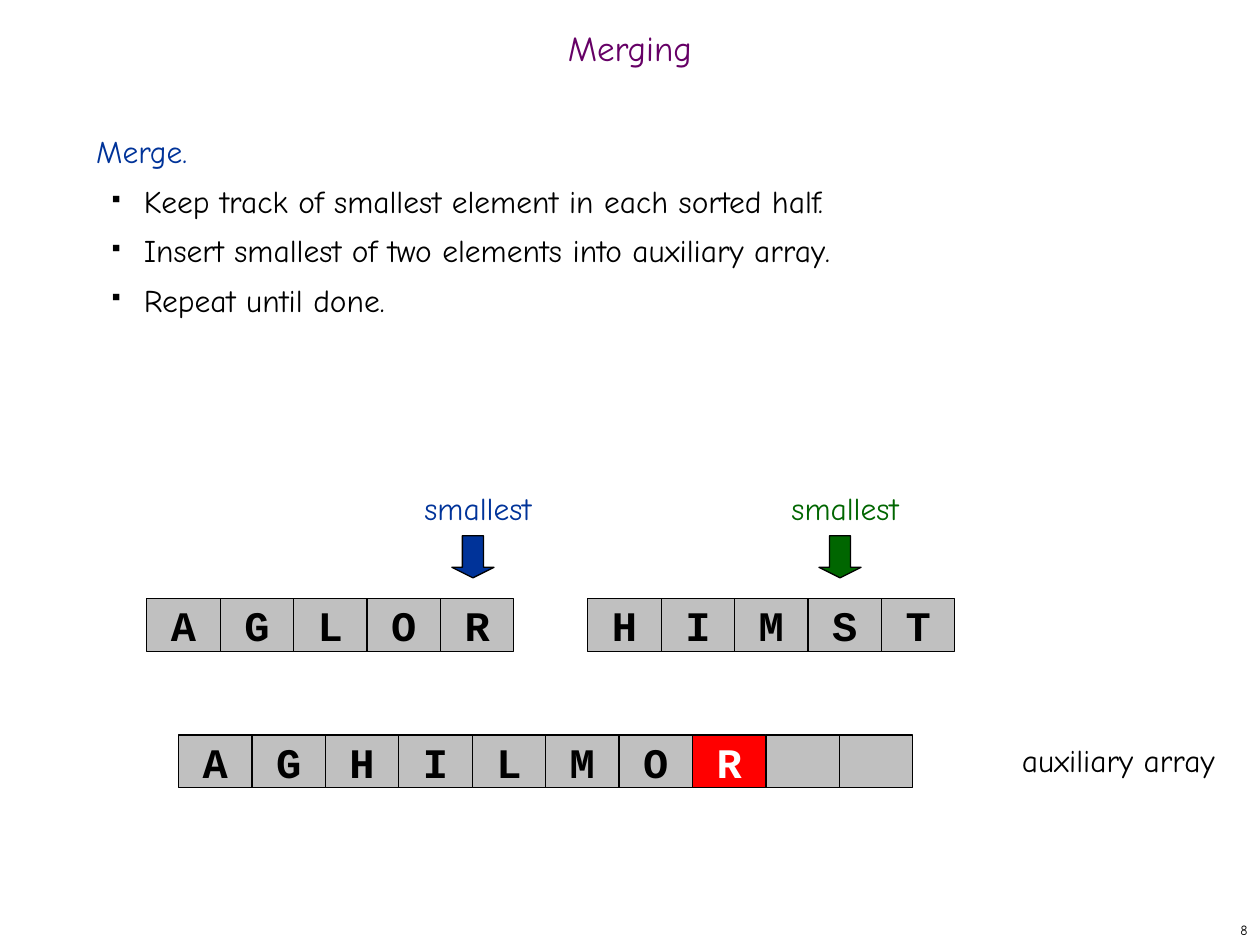
from pptx import Presentation
from pptx.dml.color import RGBColor
from pptx.enum.shapes import MSO_SHAPE as Kind
from pptx.enum.text import MSO_ANCHOR as Anchor, PP_ALIGN as Align
from pptx.oxml import parse_xml
from pptx.oxml.ns import nsdecls
from pptx.util import Cm, Pt

BLACK = RGBColor(0x00, 0x00, 0x00)
WHITE = RGBColor(0xFF, 0xFF, 0xFF)
BLUE = RGBColor(0x00, 0x33, 0x99)
GREEN = RGBColor(0x00, 0x66, 0x00)
PURPLE = RGBColor(0x66, 0x00, 0x66)
GRAY = RGBColor(0xC0, 0xC0, 0xC0)
RED = RGBColor(0xFF, 0x00, 0x00)
SANS = "Comic Neue"
MONO = "Courier New"
WIDE, HIGH = 1.48, 1.06  # one array cell, in cm

deck = Presentation()
deck.slide_width, deck.slide_height = Cm(25.4), Cm(19.05)
slide = deck.slides.add_slide(deck.slide_layouts[6])


def add_text(text, x, y, w, h, size, color, align, anchor=Anchor.TOP):
    box = slide.shapes.add_textbox(Cm(x), Cm(y), Cm(w), Cm(h))
    frame = box.text_frame
    frame.word_wrap = True
    frame.vertical_anchor = anchor
    frame.text = text
    for para in frame.paragraphs:
        para.alignment = align
        font = para.runs[0].font
        font.name, font.size = SANS, Pt(size)
        font.color.rgb = color
    return frame


def add_block(kind, x, y, w, h, fill):
    block = slide.shapes.add_shape(kind, Cm(x), Cm(y), Cm(w), Cm(h))
    block.shadow.inherit = False
    block.fill.solid()
    block.fill.fore_color.rgb = fill
    block.line.color.rgb = BLACK
    block.line.width = Pt(0.75)
    return block


# Title
title = add_text("Merging", 0, 0.42, 25.4, 1.27, 20, PURPLE, Align.CENTER, Anchor.MIDDLE)
title.paragraphs[0].line_spacing = 0.7

# Heading and bullets
lines = [
    "Merge.",
    "Keep track of smallest element in each sorted half.",
    "Insert smallest of two elements into auxiliary array.",
    "Repeat until done.",
]
body = add_text("\n".join(lines), 1.69, 2.54, 21.8, 15.03, 18, BLACK, Align.LEFT)
head, *items = body.paragraphs
head.space_before = Pt(4.5)
head.runs[0].font.color.rgb = BLUE
for item in items:
    item.level = 1
    item.line_spacing = 1.1
    item.space_before = Pt(4.5)
    props = item._p.get_or_add_pPr()
    props.set("marL", str(Cm(0.96)))
    props.set("indent", str(Cm(-0.64)))
    for mark in (
        '<a:buClr %s><a:srgbClr val="000000"/></a:buClr>',
        '<a:buSzPct %s val="35000"/>',
        '<a:buChar %s char="■"/>',
    ):
        props.append(parse_xml(mark % nsdecls("a")))

# Pointers to the smallest elements
for x, color in ((6.99, BLUE), (14.39, GREEN)):
    label = add_text("smallest", x, 9.74, 5.29, 1.02, 18, color, Align.CENTER)
    label.paragraphs[0].space_before = Pt(11.2)
    arrow = add_block(Kind.DOWN_ARROW, x + 2.12, 10.8, 0.85, 0.85, color)
    arrow.adjustments[0], arrow.adjustments[1] = 0.5, 0.25

# Sorted halves and auxiliary array; the newest element is red
rows = [
    ("AGLOR", 2.96, 12.07, None),
    ("HIMST", 11.85, 12.07, None),
    ("AGHILMOR  ", 3.6, 14.82, 7),
]
for keys, left, top, newest in rows:
    for col, key in enumerate(keys):
        fresh = col == newest
        cell = add_block(Kind.RECTANGLE, left + col * WIDE, top, WIDE, HIGH,
                         RED if fresh else GRAY)
        if key == " ":
            continue
        frame = cell.text_frame
        frame.word_wrap = False
        frame.vertical_anchor = Anchor.MIDDLE
        frame.text = key
        para = frame.paragraphs[0]
        para.alignment = Align.CENTER
        font = para.runs[0].font
        font.name, font.size, font.bold = MONO, Pt(24), True
        font.color.rgb = WHITE if fresh else BLACK

# Array caption and page number
note = add_text("auxiliary array", 20.11, 14.82, 4.87, 1.02, 18, BLACK, Align.CENTER)
note.paragraphs[0].space_before = Pt(11.2)
add_text("8", 20.11, 18.42, 5.29, 0.64, 8, BLACK, Align.RIGHT, Anchor.MIDDLE)

deck.save("out.pptx")
